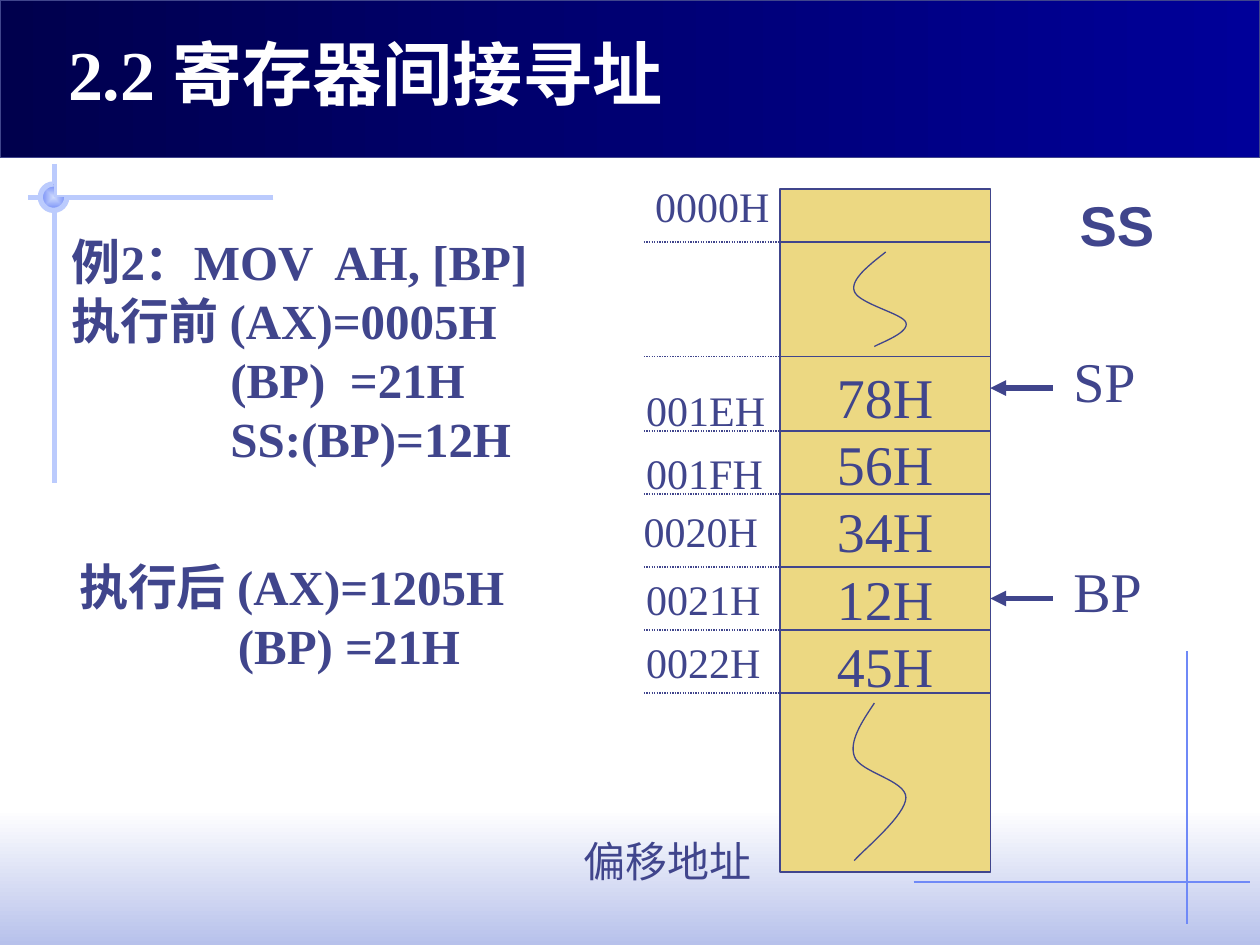
from lxml import etree
from pptx import Presentation
from pptx import util as u
from pptx.dml.color import RGBColor
from pptx.enum import dml, shapes, text
from pptx.oxml.ns import qn

INK = RGBColor(0x40, 0x45, 0x8C)
WHITE = RGBColor(0xFF, 0xFF, 0xFF)
MIST = RGBColor(0xB7, 0xC1, 0xEB)
NIGHT = RGBColor(0x00, 0x00, 0x4D)
NAVY = RGBColor(0x00, 0x00, 0x99)
PALE = RGBColor(0xBB, 0xCB, 0xFD)
ICE = RGBColor(0xCF, 0xDB, 0xFD)
BLUE = RGBColor(0x6F, 0x89, 0xF7)
SAND = RGBColor(0xEC, 0xD8, 0x82)

SERIF = "Times New Roman"
LABEL = {"size": u.Pt(24), "name": SERIF, "bold": False}
MARK = {"size": u.Pt(32), "name": SERIF, "bold": False}
CODE = {"size": u.Pt(28), "name": SERIF, "bold": True}
HEAD = {"size": u.Pt(40), "name": SERIF, "bold": True}
STACK = {"size": u.Pt(32), "name": "Arial", "bold": True}
# The free right margin keeps tight labels on one line
FRAME = {"word_wrap": True, "margin_right": 0,
         "auto_size": text.MSO_AUTO_SIZE.NONE,
         "vertical_anchor": text.MSO_ANCHOR.TOP}

# Stack column and its row borders
LEFT, RIGHT, TICK = 6.19, 7.86, 5.11
ROWS = (1.92, 2.83, 3.42, 3.92, 4.5, 5, 5.5)


def inches(*vals):
    return [u.Inches(v) for v in vals]


def assign(item, form):
    for key, val in form.items():
        setattr(item, key, val)


def write(frame, lines, form, color=INK, align=text.PP_ALIGN.LEFT, indent=0):
    """Write one paragraph per line; register lines take the indent."""
    for i, line in enumerate(lines):
        para = frame.paragraphs[0] if i == 0 else frame.add_paragraph()
        para.alignment = align
        run = para.add_run()
        run.text = line
        run.font.color.rgb = color
        assign(run.font, form)
        if indent and line.startswith(("(", "SS")):
            para._p.get_or_add_pPr().set("marL", str(u.Inches(indent)))


def label(slide, box, lines, form, indent=0):
    frame = slide.shapes.add_textbox(*inches(*box)).text_frame
    assign(frame, FRAME)
    write(frame, lines, form, indent=indent)


def rule(slide, start, end, color=INK, width=0.75, dots=False, arrow=False):
    line = slide.shapes.add_connector(
        shapes.MSO_CONNECTOR.STRAIGHT, *inches(*start, *end))
    line.line.color.rgb = color
    line.line.width = u.Pt(width)
    if dots:
        line.line.dash_style = dml.MSO_LINE.ROUND_DOT
    props = line.element.spPr
    if arrow:
        tip = etree.SubElement(props.find(qn("a:ln")), qn("a:headEnd"))
        tip.set("type", "triangle")
    etree.SubElement(props, qn("a:effectLst"))


def shape(slide, kind, box, edge=None, width=0.75):
    item = slide.shapes.add_shape(kind, *inches(*box))
    item.shadow.inherit = False
    if edge is None:
        item.line.fill.background()
    else:
        item.line.color.rgb = edge
        item.line.width = u.Pt(width)
    return item


def blend(item, first, last, angle=0):
    item.fill.gradient()
    item.fill.gradient_angle = angle
    for stop, color in zip(item.fill.gradient_stops, (first, last)):
        stop.color.rgb = color


def center(item):
    """Turn a linear blend into one that spreads from the middle."""
    grad = item.element.spPr.find(qn("a:gradFill"))
    grad.remove(grad.find(qn("a:lin")))
    way = etree.SubElement(grad, qn("a:path"))
    way.set("path", "rect")
    rect = etree.SubElement(way, qn("a:fillToRect"))
    for side in "ltrb":
        rect.set(side, "50000")


def curve(slide, start, *arcs, steps=16):
    """Draw chained cubic curves as one open outline."""
    dots, here = [], start
    for a, b, end in arcs:
        for i in range(1, steps + 1):
            t = i / steps
            s = 1 - t
            dots.append(inches(*(
                s**3 * p + 3 * s * s * t * q + 3 * s * t * t * r + t**3 * e
                for p, q, r, e in zip(here, a, b, end))))
        here = end
    pen = slide.shapes.build_freeform(*inches(*start))
    pen.add_line_segments(dots, close=False)
    wave = pen.convert_to_shape()
    wave.shadow.inherit = False
    wave.fill.background()
    wave.line.color.rgb = INK
    wave.line.width = u.Pt(0.75)


def backdrop(slide):
    kind = shapes.MSO_SHAPE
    blend(shape(slide, kind.RECTANGLE, (0, 6.42, 10, 1.08)), WHITE, MIST, 270)
    rule(slide, (9.42, 5.17), (9.42, 7.33), BLUE)
    rule(slide, (2.17, 1.57), (0.22, 1.57), PALE, 3)
    rule(slide, (0.43, 1.3), (0.43, 3.83), PALE, 3)
    # Three-quarter ring where the pale lines cross
    ring = shape(slide, kind.ARC, (0.32, 1.46, 0.21, 0.21), PALE, 3)
    ring.adjustments[0], ring.adjustments[1] = 0, 162
    blend(ring, ICE, BLUE)
    center(ring)
    blend(shape(slide, kind.RECTANGLE, (0, 0, 10, 1.25), INK), NIGHT, NAVY)
    rule(slide, (7.25, 7), (9.92, 7), BLUE)


def heading(slide):
    title = slide.shapes.title
    assign(title, dict(zip(("left", "top", "width", "height"),
                           inches(0.44, 0.19, 5.05, 0.77))))
    assign(title.text_frame, FRAME)
    write(title.text_frame, ["2.2 寄存器间接寻址"], HEAD, WHITE)
    # Bring the title in front of the band
    title.element.getparent().append(title.element)


def memory(slide):
    column = shape(slide, shapes.MSO_SHAPE.RECTANGLE,
                   (LEFT, 1.5, RIGHT - LEFT, 5.42), INK)
    column.fill.solid()
    column.fill.fore_color.rgb = SAND
    column.text_frame.vertical_anchor = text.MSO_ANCHOR.MIDDLE
    write(column.text_frame, ["78H", "56H", "34H", "12H", "45H"], MARK,
          align=text.PP_ALIGN.CENTER)
    for y in ROWS:
        rule(slide, (LEFT, y), (RIGHT, y))
        rule(slide, (TICK, y), (LEFT, y), dots=True)

    # Waves stand for the cells left out
    curve(slide, (7.03, 2),
          ((6.89, 2.11), (6.75, 2.22), (6.78, 2.31)),
          ((6.81, 2.41), (7.17, 2.49), (7.19, 2.56)),
          ((7.22, 2.64), (6.99, 2.72), (6.94, 2.75)))
    curve(slide, (6.94, 5.58),
          ((6.84, 5.73), (6.74, 5.88), (6.78, 6)),
          ((6.82, 6.13), (7.19, 6.19), (7.19, 6.33)),
          ((7.19, 6.47), (6.85, 6.75), (6.78, 6.83)))

    # Offset addresses
    for name, x, y, wide in (
            ("0000H", 5.1, 1.38, 1.11), ("001EH", 5.03, 3, 1.14),
            ("001FH", 5.03, 3.5, 1.12), ("0020H", 5.01, 3.96, 1.11),
            ("0021H", 5.03, 4.5, 1.11), ("0022H", 5.03, 5, 1.11),
            ("偏移地址", 4.53, 6.58, 1.53)):
        label(slide, (x, y, wide, 0.5), [name], LABEL)

    # Pointers into the stack
    for name, y, wide in (("SP", 3.08, 0.69), ("BP", 4.75, 0.74)):
        rule(slide, (RIGHT, y), (RIGHT + 0.5, y), width=3, arrow=True)
        label(slide, (8.42, y - 0.38, wide, 0.64), [name], MARK)
    label(slide, (8.47, 1.46, 0.79, 0.64), ["SS"], STACK)


def main():
    deck = Presentation()
    deck.slide_width, deck.slide_height = inches(10, 7.5)
    slide = deck.slides.add_slide(deck.slide_layouts[5])
    backdrop(slide)
    heading(slide)
    # Register values before and after the instruction
    label(slide, (0.47, 1.79, 4.12, 1.97),
          ["例2：MOV  AH, [BP]", "执行前 (AX)=0005H", "(BP)  =21H",
           "SS:(BP)=12H"], CODE, 1.26)
    label(slide, (0.53, 4.37, 3.66, 1.04),
          ["执行后 (AX)=1205H", "(BP) =21H"], CODE, 1.26)
    memory(slide)
    deck.save("out.pptx")


if __name__ == "__main__":
    main()
